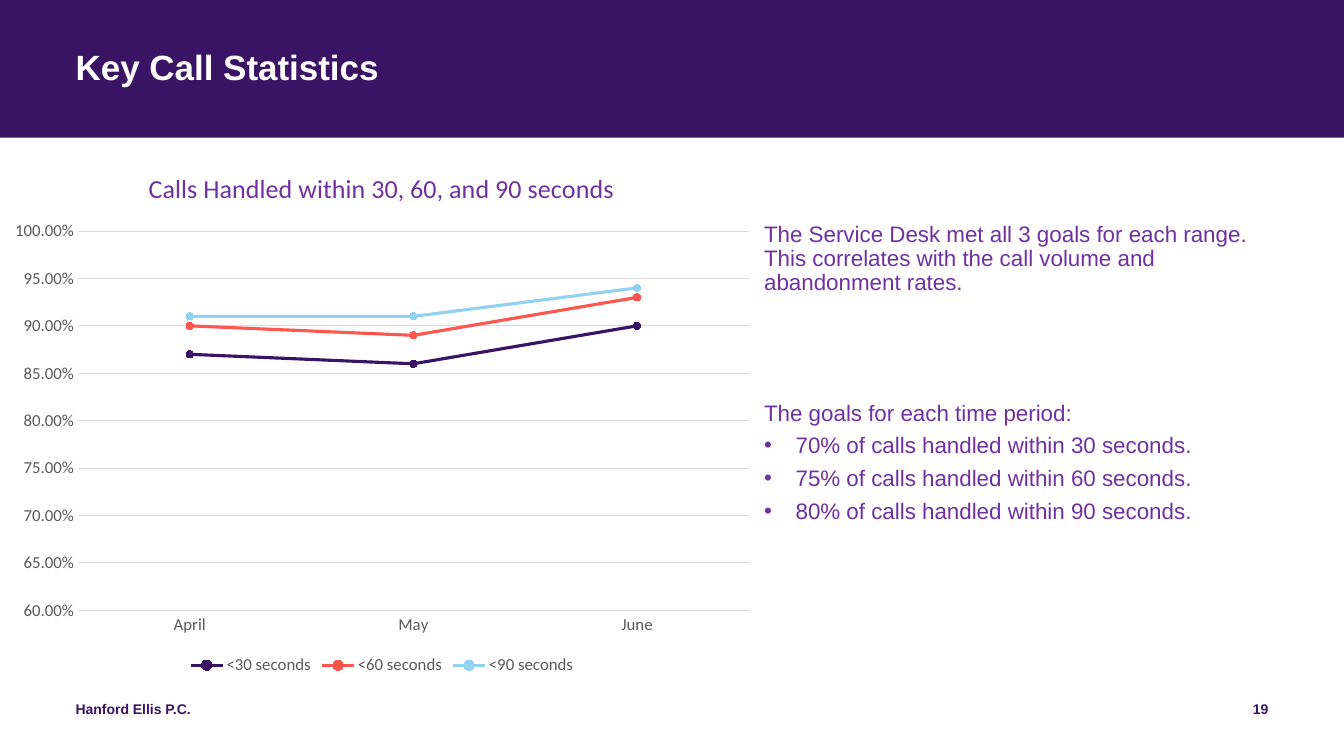
from dataclasses import dataclass

from lxml import etree
from pptx import Presentation
from pptx.chart import data
from pptx.dml.color import RGBColor
from pptx.enum import chart as charts, shapes, text
from pptx.oxml.ns import qn
from pptx.util import Pt

TITLE = "Key Call Statistics"
FIRM = "Hanford Ellis P.C."
PAGE_NUMBER = "19"
CHART_TITLE = "Calls Handled within 30, 60, and 90 seconds"
MONTHS = ["April", "May", "June"]
SERIES = [
    ("<30 seconds", (0.87, 0.86, 0.9), "3B1365"),
    ("<60 seconds", (0.9, 0.89, 0.93), "FF5750"),
    ("<90 seconds", (0.91, 0.91, 0.94), "91D2F2"),
]
SUMMARY = ("The Service Desk met all 3 goals for each range. "
           "This correlates with the call volume and abandonment rates.")
GOALS_HEADING = "The goals for each time period:"
GOALS = [
    "70% of calls handled within 30 seconds.",
    "75% of calls handled within 60 seconds.",
    "80% of calls handled within 90 seconds.",
]


@dataclass(frozen=True)
class Theme:
    band: str = "3B1365"
    accent: str = "7030A0"
    white: str = "FFFFFF"
    axis: str = "595959"
    grid: str = "D9D9D9"
    font: str = "Arial"
    chart_font: str = "Calibri"
    title: float = 25
    body: float = 16
    footer: float = 10
    chart_title: float = 18.6
    chart_label: float = 12


THEME = Theme()
WIDTH, HEIGHT = 960, 540
MARGIN = 54
BAND_HEIGHT = 98.3
CHART_BOX = (0, 108.7, 545.8, 377.3)
CHART_TITLE_AT = (102.8, 9.4)
PLOT_AREA = (55.7, 56.4, 479.2, 271)
LEGEND_AT = (132.4, 357.6)
BODY_BOX = (545.8, 159.3, 360, 326.7)
FOOTER_TOP, FOOTER_HEIGHT = 500.4, 28.8
GOALS_GAP = 70
BULLET_INDENT = 22.5


def style(font, size, color, name=THEME.font, bold=False):
    font.size, font.name, font.bold = Pt(size), name, bold
    font.color.rgb = RGBColor.from_string(color)


def prepare(frame):
    frame.word_wrap = True
    frame.auto_size = text.MSO_AUTO_SIZE.NONE
    frame.vertical_anchor = text.MSO_ANCHOR.TOP
    frame.margin_left = frame.margin_right = Pt(0)
    frame.margin_top = frame.margin_bottom = Pt(0)
    return frame


def add_box(page, area):
    return prepare(page.shapes.add_textbox(*map(Pt, area)).text_frame)


def write(frame, words, size=THEME.body, color=THEME.accent, bold=False,
          align=text.PP_ALIGN.LEFT, spacing=0.9, before=0, after=6, bullet=False):
    para = frame.paragraphs[0]
    if para.runs:
        para = frame.add_paragraph()
    para.alignment, para.line_spacing = align, spacing
    para.space_before, para.space_after = Pt(before), Pt(after)
    if bullet:
        properties = para._p.get_or_add_pPr()
        properties.set("marL", str(Pt(BULLET_INDENT)))
        properties.set("indent", str(-Pt(BULLET_INDENT)))
        etree.SubElement(properties, qn("a:buFont"), typeface="Arial")
        etree.SubElement(properties, qn("a:buChar"), char="•")
    span = para.add_run()
    span.text = words
    style(span.font, size, color, bold=bold)


def place(parent, index, area, inner=False):
    for old in parent.findall(qn("c:layout")):
        parent.remove(old)
    layout = etree.Element(qn("c:layout"))
    manual = etree.SubElement(layout, qn("c:manualLayout"))
    settings = {"layoutTarget": "inner"} if inner else {}
    settings |= {"xMode": "edge", "yMode": "edge"}
    for key, length, whole in zip("xywh", area, CHART_BOX[2:] * 2):
        settings[key] = length / whole
    for key, value in settings.items():
        etree.SubElement(manual, qn(f"c:{key}"), val=str(value))
    parent.insert(index, layout)


def add_header(page):
    band = page.shapes.add_shape(shapes.MSO_SHAPE.RECTANGLE, 0, 0, Pt(WIDTH), Pt(BAND_HEIGHT))
    band.shadow.inherit = False
    band.fill.solid()
    band.fill.fore_color.rgb = RGBColor.from_string(THEME.band)
    band.line.fill.background()
    band.element.getparent().insert(2, band.element)
    title = page.shapes.title
    title.left, title.top = Pt(MARGIN), Pt(36)
    title.width, title.height = Pt(WIDTH - 2 * MARGIN), Pt(58.3)
    write(prepare(title.text_frame), TITLE, size=THEME.title, color=THEME.white,
          bold=True, after=0)


def add_line_chart(page):
    values = data.CategoryChartData(number_format="0.00%")
    values.categories = MONTHS
    for name, shares, _ in SERIES:
        values.add_series(name, shares)
    chart = page.shapes.add_chart(charts.XL_CHART_TYPE.LINE_MARKERS,
                                  *map(Pt, CHART_BOX), values).chart
    style(chart.font, THEME.chart_label, THEME.axis, THEME.chart_font)

    heading = chart.chart_title.text_frame
    heading.text = CHART_TITLE
    style(heading.paragraphs[0].runs[0].font, THEME.chart_title, THEME.accent, THEME.chart_font)
    chart.chart_title.include_in_layout = False
    chart.has_legend = True
    chart.legend.position = charts.XL_LEGEND_POSITION.BOTTOM
    chart.legend.include_in_layout = False
    style(chart.legend.font, THEME.chart_label, THEME.axis, THEME.chart_font)

    months, shares = chart.category_axis, chart.value_axis
    for axis in (months, shares):
        axis.major_tick_mark = axis.minor_tick_mark = charts.XL_TICK_MARK.NONE
        style(axis.tick_labels.font, THEME.chart_label, THEME.axis, THEME.chart_font)
    shares.minimum_scale, shares.maximum_scale, shares.major_unit = 0.6, 1, 0.05
    shares.tick_labels.number_format = "0.00%"
    shares.tick_labels.number_format_is_linked = False
    shares.format.line.fill.background()
    for line in (months.format.line, shares.major_gridlines.format.line):
        line.color.rgb, line.width = RGBColor.from_string(THEME.grid), Pt(0.75)

    plot = chart.plots[0]
    plot.vary_by_categories = False
    for series, (_, _, color) in zip(plot.series, SERIES):
        paint = RGBColor.from_string(color)
        series.smooth = False
        series.format.line.color.rgb, series.format.line.width = paint, Pt(2.25)
        series.marker.style, series.marker.size = charts.XL_MARKER_STYLE.CIRCLE, 5
        series.marker.format.fill.solid()
        series.marker.format.fill.fore_color.rgb = paint
        series.marker.format.line.color.rgb = paint

    root = chart.element.find(qn("c:chart"))
    place(root.find(qn("c:title")), 1, CHART_TITLE_AT)
    place(root.find(qn("c:plotArea")), 0, PLOT_AREA, inner=True)
    place(root.find(qn("c:legend")), 1, LEGEND_AT)


def add_findings(page):
    frame = add_box(page, BODY_BOX)
    write(frame, SUMMARY)
    write(frame, GOALS_HEADING, before=GOALS_GAP)
    for goal in GOALS:
        write(frame, goal, bullet=True)


def add_footer(page):
    for words, width, align in ((FIRM, 324, text.PP_ALIGN.LEFT),
                                (PAGE_NUMBER, 216, text.PP_ALIGN.RIGHT)):
        left = MARGIN if align == text.PP_ALIGN.LEFT else WIDTH - MARGIN - width
        frame = add_box(page, (left, FOOTER_TOP, width, FOOTER_HEIGHT))
        write(frame, words, size=THEME.footer, color=THEME.band, bold=True,
              align=align, spacing=1.0)


def main():
    deck = Presentation()
    deck.slide_width, deck.slide_height = Pt(WIDTH), Pt(HEIGHT)
    page = deck.slides.add_slide(deck.slide_layouts[5])
    add_header(page)
    add_line_chart(page)
    add_findings(page)
    add_footer(page)
    deck.save("out.pptx")


if __name__ == "__main__":
    main()
